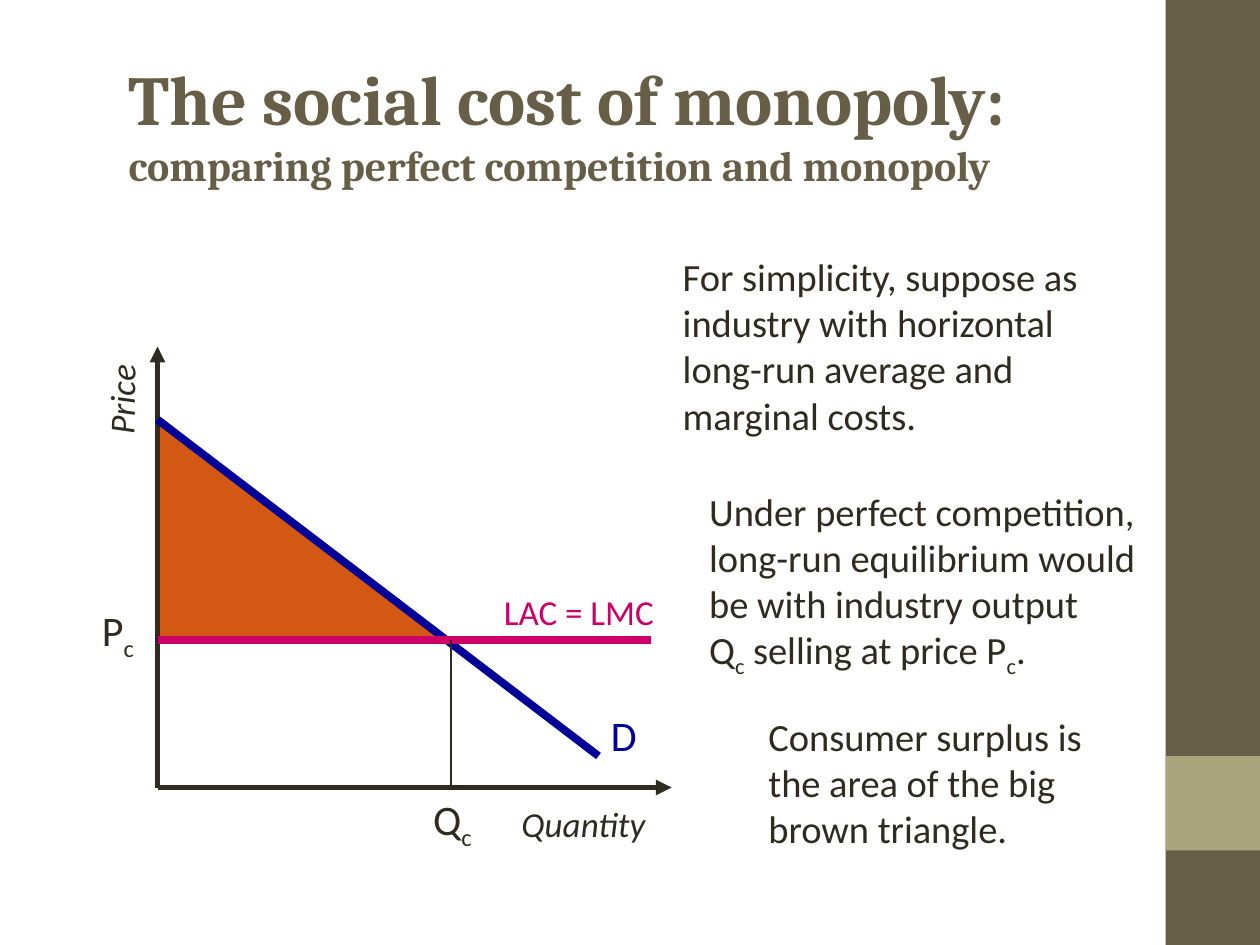
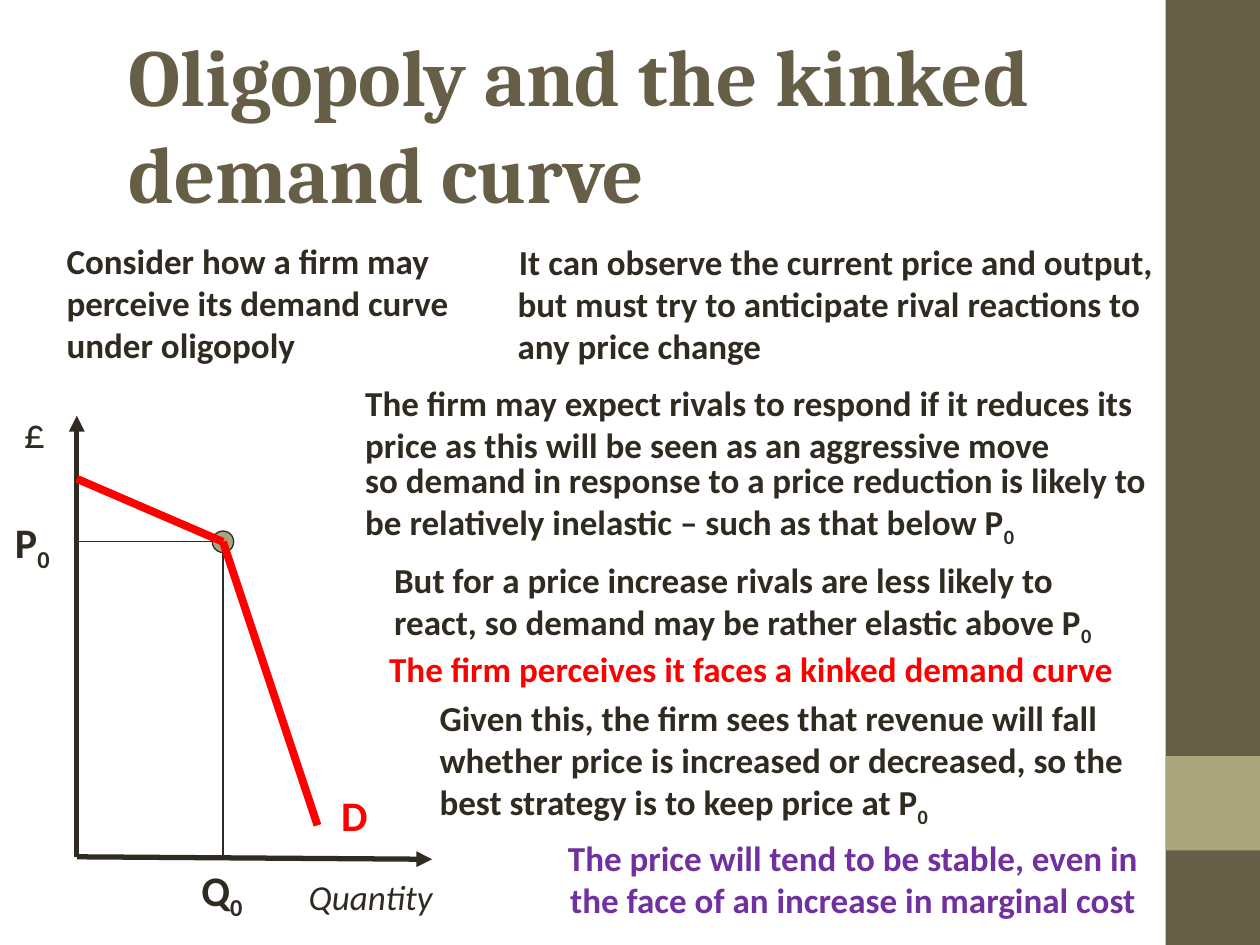
from dataclasses import dataclass

import lxml.etree
import pptx
import pptx.dml.color
import pptx.enum.shapes
import pptx.enum.text
import pptx.oxml.ns
import pptx.presentation
import pptx.shapes.autoshape
import pptx.slide
import pptx.text.text
import pptx.util
from pptx.util import Inches

SHAPES = pptx.enum.shapes.MSO_SHAPE
ALIGN = pptx.enum.text.PP_ALIGN


@dataclass(frozen=True)
class Theme:
    ink: str = "2F2B20"
    brown: str = "675E47"
    khaki: str = "A9A57C"
    surplus: str = "D25814"
    blue: str = "000099"
    magenta: str = "CC0066"
    red: str = "FF0000"
    purple: str = "7030A0"
    title_font: str = "Cambria"
    body_font: str = "Calibri"
    title_large: int = 46
    title_medium: int = 40
    subtitle: int = 24
    symbol: int = 24
    body: int = 22
    small: int = 20
    thin: float = 0.75
    axis: float = 3
    curve: float = 4.5


THEME = Theme()


@dataclass(frozen=True)
class Label:
    """Text at a place; "_" lowers the next character, a newline starts a paragraph."""
    text: str
    left: float
    top: float
    width: float
    height: float
    size: int = THEME.small
    color: str = THEME.ink
    bold: bool = False
    italic: bool = False
    align: ALIGN = ALIGN.LEFT
    rotation: float = 0


@dataclass(frozen=True)
class Segment:
    start: tuple[float, float]
    end: tuple[float, float]
    width: float = THEME.thin
    color: str = THEME.ink
    arrow: bool = False


# Drawing functions

def rgb(color: str) -> pptx.dml.color.RGBColor:
    return pptx.dml.color.RGBColor.from_string(color)


def add_span(para: pptx.text.text._Paragraph, text: str, *, font: str, size: int,
             color: str, bold: bool = False, italic: bool = False,
             lowered: bool = False) -> None:
    span = para.add_run()
    span.text = text
    span.font.name = font
    span.font.size = pptx.util.Pt(size)
    span.font.color.rgb = rgb(color)
    span.font.bold = bold
    span.font.italic = italic
    if lowered:
        span._r.get_or_add_rPr().set("baseline", "-25000")


def add_marked_text(para: pptx.text.text._Paragraph, text: str, **style) -> None:
    plain, *marked = text.split("_")
    add_span(para, plain, **style)
    for piece in marked:
        add_span(para, piece[0], lowered=True, **style)
        if piece[1:]:
            add_span(para, piece[1:], **style)


def add_label(page: pptx.slide.Slide, label: Label) -> None:
    box = page.shapes.add_textbox(Inches(label.left), Inches(label.top),
                                  Inches(label.width), Inches(label.height))
    box.rotation = label.rotation
    frame = box.text_frame
    frame.word_wrap = True
    frame.auto_size = pptx.enum.text.MSO_AUTO_SIZE.SHAPE_TO_FIT_TEXT
    for index, line in enumerate(label.text.split("\n")):
        para = frame.add_paragraph() if index else frame.paragraphs[0]
        para.alignment = label.align
        add_marked_text(para, line, font=THEME.body_font, size=label.size,
                        color=label.color, bold=label.bold, italic=label.italic)


def add_segment(page: pptx.slide.Slide, segment: Segment) -> None:
    connector = page.shapes.add_connector(
        pptx.enum.shapes.MSO_CONNECTOR.STRAIGHT,
        *(Inches(value) for value in segment.start + segment.end))
    connector.line.color.rgb = rgb(segment.color)
    connector.line.width = pptx.util.Pt(segment.width)
    qualified = pptx.oxml.ns.qn
    properties = connector._element.spPr
    if segment.arrow:
        lxml.etree.SubElement(properties.find(qualified("a:ln")),
                              qualified("a:tailEnd"), type="triangle")
    lxml.etree.SubElement(properties, qualified("a:effectLst"))


def add_figure(page: pptx.slide.Slide, kind: SHAPES, left: float, top: float,
               width: float, height: float, fill: str, outlined: bool = False
               ) -> pptx.shapes.autoshape.Shape:
    figure = page.shapes.add_shape(kind, Inches(left), Inches(top),
                                   Inches(width), Inches(height))
    figure.shadow.inherit = False
    figure.fill.solid()
    figure.fill.fore_color.rgb = rgb(fill)
    if outlined:
        figure.line.color.rgb = rgb(THEME.ink)
        figure.line.width = pptx.util.Pt(THEME.thin)
    else:
        figure.line.fill.background()
    return figure


def add_page(deck: pptx.presentation.Presentation,
             *title_lines: tuple[str, int]) -> pptx.slide.Slide:
    """Add a page with the side bands and a title of (text, size) lines."""
    page = deck.slides.add_slide(deck.slide_layouts.get_by_name("Title Only"))
    add_figure(page, SHAPES.RECTANGLE, 9.25, 0, 0.75, 7.5, THEME.brown)
    add_figure(page, SHAPES.RECTANGLE, 9.25, 6, 0.75, 0.75, THEME.khaki)

    title = page.shapes.title
    title.left, title.top = Inches(0.92), Inches(0.37)
    title.width, title.height = Inches(8.5), Inches(1.21)
    frame = title.text_frame
    frame.word_wrap = True
    frame.auto_size = pptx.enum.text.MSO_AUTO_SIZE.NONE
    frame.vertical_anchor = pptx.enum.text.MSO_ANCHOR.MIDDLE
    para = frame.paragraphs[0]
    para.alignment = ALIGN.LEFT
    for index, (text, size) in enumerate(title_lines):
        if index:
            para.add_line_break()
        add_span(para, text, font=THEME.title_font, size=size,
                 color=THEME.brown, bold=True)
    return page


def add_all(page: pptx.slide.Slide, *parts: Segment | Label) -> None:
    for part in parts:
        if isinstance(part, Segment):
            add_segment(page, part)
        else:
            add_label(page, part)


# Slides

def build_monopoly(deck: pptx.presentation.Presentation) -> None:
    page = add_page(deck, ("The social cost of monopoly:", THEME.title_medium),
                    ("comparing perfect competition and monopoly", THEME.subtitle))
    origin = (1.25, 6.25)
    demand_top = (1.25, 3.33)
    equilibrium = (3.58, 5.08)
    cost_start = (origin[0], equilibrium[1])

    # Consumer surplus, between the demand and cost lines
    add_figure(page, SHAPES.RIGHT_TRIANGLE, *demand_top,
               equilibrium[0] - demand_top[0], equilibrium[1] - demand_top[1],
               THEME.surplus, outlined=True)
    add_all(
        page,
        # Axes and curves
        Segment(origin, (5.33, origin[1]), THEME.axis, arrow=True),
        Segment(origin, (origin[0], 2.75), THEME.axis, arrow=True),
        Segment(demand_top, (4.75, 6), THEME.curve, THEME.blue),
        Segment(cost_start, (5.17, equilibrium[1]), THEME.curve, THEME.magenta),
        Segment(equilibrium, (equilibrium[0], origin[1])),
        # Diagram labels
        Label("D", 4.75, 5.58, 0.45, 0.5, THEME.symbol, THEME.blue),
        Label("LAC = LMC", 3.9, 4.64, 1.45, 0.44, color=THEME.magenta),
        Label("Q_c", 3.34, 6.25, 0.56, 0.56, THEME.symbol),
        Label("P_c", 0.71, 4.75, 0.51, 0.56, THEME.symbol),
        Label("Quantity", 4.04, 6.32, 1.25, 0.44, italic=True),
        Label("Price", 0.59, 2.95, 0.75, 0.44, italic=True, rotation=270.9),
        # Explanation
        Label("For simplicity, suppose as\nindustry with horizontal\n"
              "long-run average and\nmarginal costs.",
              5.32, 1.96, 3.42, 1.57, THEME.body),
        Label("Under perfect competition,\nlong-run equilibrium would\n"
              "be with industry output\nQ_c selling at price P_c.",
              5.53, 3.82, 3.65, 1.62, THEME.body),
        Label("Consumer surplus is\nthe area of the big\nbrown triangle.",
              6, 5.61, 2.75, 1.2, THEME.body),
    )


def build_oligopoly(deck: pptx.presentation.Presentation) -> None:
    page = add_page(deck, ("Oligopoly and the kinked demand curve", THEME.title_large))
    origin = (0.61, 6.8)
    kink = (1.77, 4.3)
    dot = 0.17

    # Axes, guides and the current position
    add_all(
        page,
        Segment(origin, (3.43, 6.82), THEME.axis, arrow=True),
        Segment(origin, (origin[0], 3.3), THEME.axis, arrow=True),
        Segment((origin[0], kink[1]), kink),
        Segment(kink, (kink[0], origin[1])),
    )
    add_figure(page, SHAPES.OVAL, kink[0] - dot / 2, kink[1] - dot / 2, dot, dot,
               THEME.khaki, outlined=True)

    add_all(
        page,
        # Kinked demand curve
        Segment(kink, (2.52, 6.55), THEME.curve, THEME.red),
        Segment(kink, (origin[0], 3.8), THEME.curve, THEME.red),
        # Diagram labels
        Label("Q_0", 1.5, 6.81, 0.58, 0.56, THEME.symbol, bold=True),
        Label("P_0", 0.02, 4.05, 0.53, 0.56, THEME.symbol, bold=True),
        Label("Quantity", 2.35, 6.9, 1.25, 0.44, italic=True),
        Label("£", 0.09, 3.18, 0.42, 0.5, THEME.symbol),
        Label("D", 2.61, 6.22, 0.46, 0.5, THEME.symbol, THEME.red, bold=True),
    )

    # Argument, step by step
    def step(text: str, left: float, top: float, width: float, height: float,
             color: str = THEME.ink, align: ALIGN = ALIGN.LEFT) -> Label:
        return Label(text, left, top, width, height, color=color, bold=True,
                     align=align)

    add_all(
        page,
        step("Consider how a firm may\nperceive its demand curve under oligopoly",
             0.43, 1.85, 3.54, 1.1),
        step("It can observe the current price and output,", 4.02, 1.86, 5.95, 0.44),
        step("but must try to anticipate rival reactions to any price change",
             4.01, 2.19, 5.4, 0.77),
        step("The firm may expect rivals to respond if it reduces its price as this "
             "will be seen as an aggressive move", 2.8, 2.98, 6.61, 0.77),
        step("so demand in response to a price reduction is likely to be relatively "
             "inelastic – such as that below P_0", 2.8, 3.59, 6.61, 0.82),
        step("But for a price increase rivals are less likely to\n"
             "react, so demand may be rather elastic above P_0",
             3.03, 4.38, 6.57, 0.82),
        step("The firm perceives it faces a kinked demand curve",
             2.99, 5.09, 6.89, 0.44, THEME.red),
        step("Given this, the firm sees that revenue will fall whether price is "
             "increased or decreased, so the best strategy is to keep price at P_0",
             3.39, 5.48, 6.02, 1.15),
        step("The price will tend to be stable, even in the face of an increase in "
             "marginal cost", 4.21, 6.59, 5.12, 0.77, THEME.purple, ALIGN.CENTER),
    )


def main() -> None:
    deck = pptx.Presentation()
    deck.slide_width, deck.slide_height = Inches(10), Inches(7.5)
    build_monopoly(deck)
    build_oligopoly(deck)
    deck.save("out.pptx")


if __name__ == "__main__":
    main()
